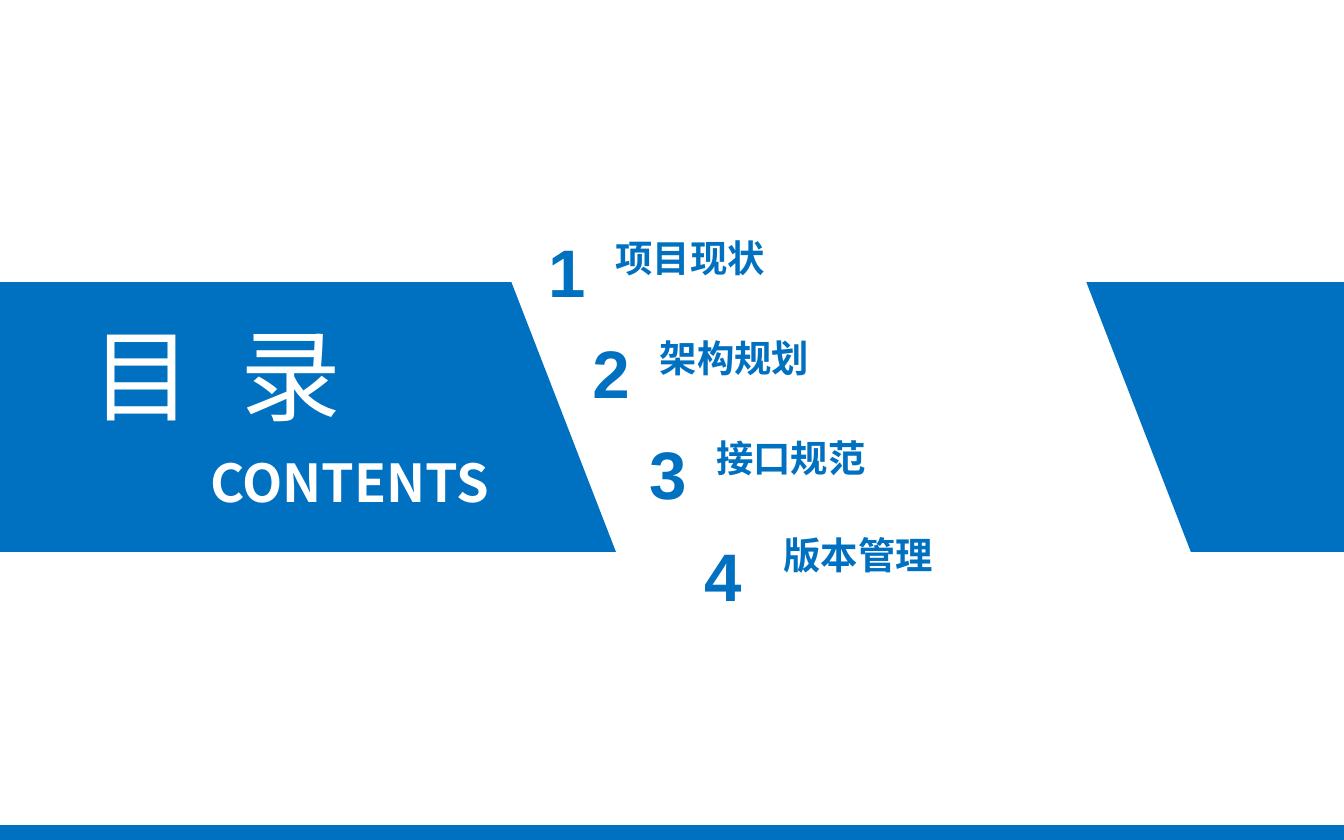
import pptx
import pptx.util
import pptx.dml.color
import pptx.enum.shapes
import pptx.enum.text
import pptx.oxml.ns

Pt = pptx.util.Pt
ALIGN = pptx.enum.text.PP_ALIGN
ANCHOR = pptx.enum.text.MSO_ANCHOR
COLORS = {"blue": "0070C0", "white": "FFFFFF"}
CJK = "Noto Sans CJK SC"
W, H = 720, 450
BAND_TOP, BAND_BOTTOM = 151.2, 295.7

# Number, heading, and left/top of each of the two boxes
ITEMS = [
    ("1", "项目现状", (286.6, 117.4), (322.6, 117.4)),
    ("2", "架构规划", (310.3, 171.4), (346.3, 171.4)),
    ("3", "接口规范", (340.6, 225.4), (376.6, 224.9)),
    ("4", "版本管理", (370.1, 280.1), (412.6, 276.5)),
]


def rgb(name):
    return pptx.dml.color.RGBColor.from_string(COLORS[name])


def paint(sp, color):
    sp.shadow.inherit = False
    sp.fill.solid()
    sp.fill.fore_color.rgb = rgb(color)
    sp.line.fill.background()


def add_polygon(s, points, color="blue"):
    builder = s.shapes.build_freeform(Pt(points[0][0]), Pt(points[0][1]))
    builder.add_line_segments([(Pt(x), Pt(y)) for x, y in points[1:]], close=True)
    paint(builder.convert_to_shape(), color)


def set_text(sp, text, box, size, color="blue", font=CJK, bold=True, wrap=False,
             align=ALIGN.LEFT, anchor=ANCHOR.TOP, line_spacing=1.0,
             spacing=0, margin_top=3.6):
    sp.left, sp.top, sp.width, sp.height = [Pt(v) for v in box]
    tf = sp.text_frame
    tf.auto_size = pptx.enum.text.MSO_AUTO_SIZE.NONE
    tf.word_wrap = wrap
    tf.vertical_anchor = anchor
    tf.margin_top = Pt(margin_top)
    p = tf.paragraphs[0]
    p.alignment = align
    p.line_spacing = line_spacing
    r = p.add_run()
    r.text = text
    r.font.size = Pt(size)
    r.font.bold = bold
    r.font.name = font
    r.font.color.rgb = rgb(color)
    # East Asian typeface and letter spacing
    rPr = r.font._element
    ea = rPr.makeelement(pptx.oxml.ns.qn("a:ea"), {"typeface": font})
    rPr.find(pptx.oxml.ns.qn("a:latin")).addnext(ea)
    if spacing:
        rPr.set("spc", str(spacing * 100))


def add_text(s, text, box, size, **fmt):
    set_text(s.shapes.add_textbox(0, 0, 0, 0), text, box, size, **fmt)


def add_item(s, number, heading, number_at, heading_at):
    add_text(s, number, (*number_at, 24, 36), 36, font="Arial", margin_top=6)
    add_text(s, heading, (*heading_at, 234, 34), 20, wrap=True, line_spacing=1.2)


def main():
    prs = pptx.Presentation()
    prs.slide_width, prs.slide_height = Pt(W), Pt(H)
    s = prs.slides.add_slide(prs.slide_layouts[5])

    # Slanted bands on both sides
    add_polygon(s, [(582, BAND_TOP), (W, BAND_TOP), (W, BAND_BOTTOM), (638, BAND_BOTTOM)])
    add_polygon(s, [(0, BAND_TOP), (274, BAND_TOP), (330, BAND_BOTTOM), (0, BAND_BOTTOM)])

    # Title, brought in front of the bands
    title = s.shapes.title
    s.shapes._spTree.append(title._element)
    centred = {"color": "white", "align": ALIGN.CENTER, "anchor": ANCHOR.MIDDLE}
    set_text(title, "目 录", (36.7, 168.5, 158.4, 62.6), 54, bold=False, spacing=7, **centred)
    add_text(s, "CONTENTS", (99.4, 241.9, 175.7, 32.4), 28, **centred)

    # Contents list
    for item in ITEMS:
        add_item(s, *item)

    # Footer bar
    bar = s.shapes.add_shape(pptx.enum.shapes.MSO_SHAPE.RECTANGLE, 0, Pt(442), Pt(W), Pt(8))
    paint(bar, "blue")

    prs.save("out.pptx")


if __name__ == "__main__":
    main()
